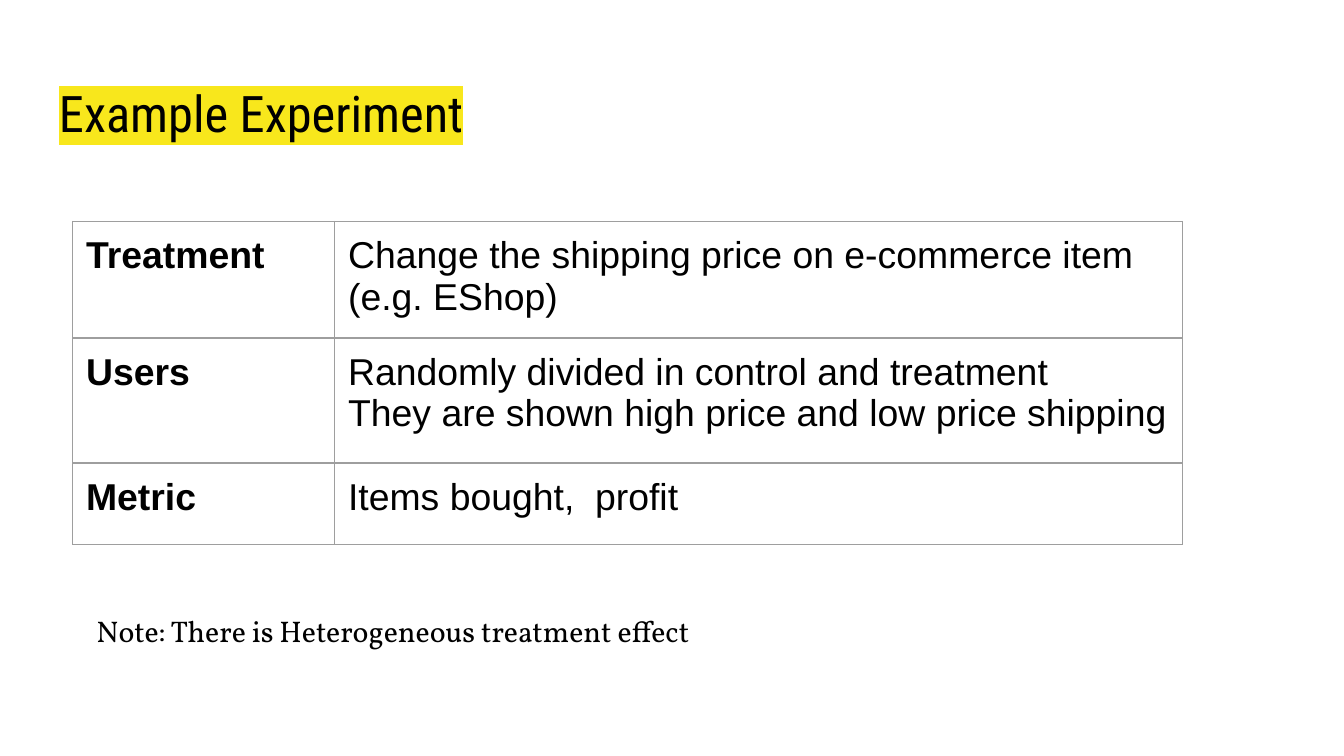
import pptx
import pptx.dml.color
import pptx.enum.text
import pptx.oxml
import pptx.oxml.ns
import pptx.util

Pt = pptx.util.Pt
ANCHOR = pptx.enum.text.MSO_ANCHOR
NS = pptx.oxml.ns.nsdecls("a")

# Content
TITLE = "Example Experiment"
ROWS = [
    ("Treatment", ["Change the shipping price on e-commerce item (e.g. EShop)"]),
    ("Users", ["Randomly divided in control and treatment",
               "They are shown high price and low price shipping"]),
    ("Metric", ["Items bought,  profit"]),
]
NOTE = "Note: There is Heterogeneous treatment effect"

# Formats and layout, in points
TITLE_FONT = {"name": "Roboto Condensed", "size": Pt(27)}
CELL_FONT = {"name": "Arial", "size": Pt(20)}
NOTE_FONT = {"name": "Vollkorn", "size": Pt(16)}
INSET = 7.2
COL_WIDTHS = [140.4, 454.3]
ROW_HEIGHTS = [59, 67, 43.6]
TABLE_LEFT, TABLE_TOP = 38.9, 118.6


def rgb(value):
    return pptx.dml.color.RGBColor.from_string(value)


def write(tf, lines, font, spacing=1.0, **extra):
    """Fill a text frame, one paragraph a line."""
    tf.word_wrap = True
    for i, line in enumerate(lines):
        p = tf.paragraphs[0] if i == 0 else tf.add_paragraph()
        p.line_spacing = spacing
        r = p.add_run()
        r.text = line
        for key, value in {**font, **extra}.items():
            setattr(r.font, key, value)
        r.font.color.rgb = rgb("000000")
    return tf


def set_insets(target):
    for side in ("left", "top", "right", "bottom"):
        setattr(target, f"margin_{side}", Pt(INSET))


def add_text(s, box, text, font, spacing=1.0, anchor=ANCHOR.TOP):
    tf = s.shapes.add_textbox(*map(Pt, box)).text_frame
    set_insets(tf)
    tf.vertical_anchor = anchor
    return write(tf, [text], font, spacing)


def highlight(r, color):
    r.font.fill._xPr.find(pptx.oxml.ns.qn("a:solidFill")).addnext(
        pptx.oxml.parse_xml(
            f'<a:highlight {NS}><a:srgbClr val="{color}"/></a:highlight>'))


def add_borders(cell, color, width):
    tcPr = cell._tc.get_or_add_tcPr()
    for i, side in enumerate("LRTB"):
        tcPr.insert(i, pptx.oxml.parse_xml(
            f'<a:ln{side} {NS} w="{Pt(width)}"><a:solidFill>'
            f'<a:srgbClr val="{color}"/></a:solidFill></a:ln{side}>'))


prs = pptx.Presentation()
prs.slide_width, prs.slide_height = Pt(720), Pt(405)
s = prs.slides.add_slide(prs.slide_layouts[6])

# Title
tf = add_text(s, (24.5, 35.3, 671, 45.4), TITLE, TITLE_FONT, 1.15, ANCHOR.MIDDLE)
highlight(tf.paragraphs[0].runs[0], "F8E71C")

# Experiment table
table = s.shapes.add_table(
    len(ROWS), len(COL_WIDTHS), Pt(TABLE_LEFT), Pt(TABLE_TOP),
    Pt(sum(COL_WIDTHS)), Pt(sum(ROW_HEIGHTS))).table
table.first_row = table.horz_banding = False
for col, width in zip(table.columns, COL_WIDTHS):
    col.width = Pt(width)
for row, height, (label, lines) in zip(table.rows, ROW_HEIGHTS, ROWS):
    row.height = Pt(height)
    for cell, text, bold in zip(row.cells, ([label], lines), (True, False)):
        set_insets(cell)
        cell.fill.background()
        add_borders(cell, "9E9E9E", 0.75)
        write(cell.text_frame, text, CELL_FONT, bold=bold)

# Note
add_text(s, (44.6, 321.1, 555, 33.8), NOTE, NOTE_FONT)

prs.save("out.pptx")
